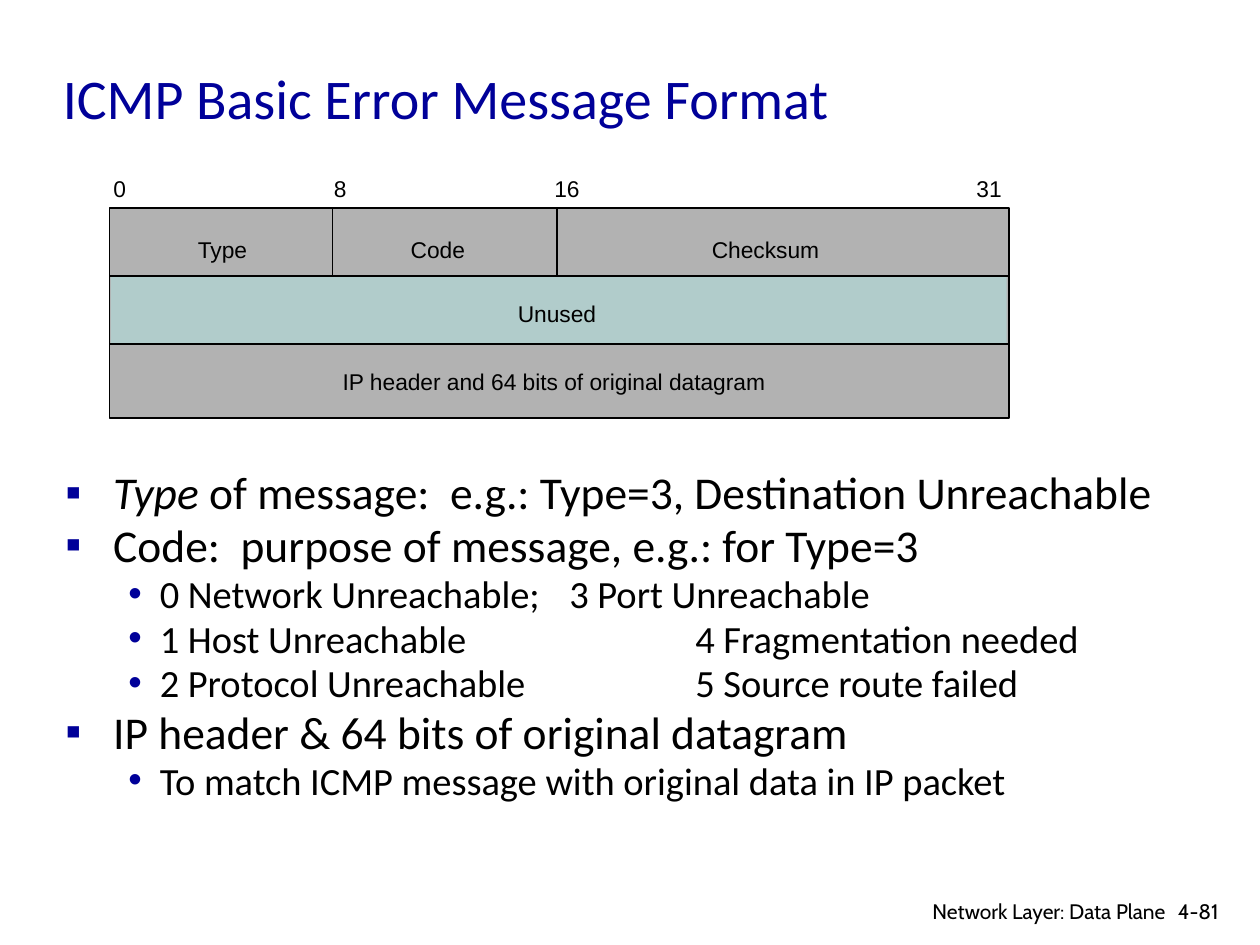
"""Build the slide on the ICMP basic error message format."""
import pptx
import pptx.dml.color
import pptx.enum.shapes
import pptx.enum.text
import pptx.oxml.ns
import pptx.util
from lxml import etree
from pptx.util import Inches

NAVY = "000099"
BLACK = "000000"
GRAY = "B2B2B2"
TEAL = "B1CCCB"
BULLETS = [
    (0, "Type", " of message:  e.g.: Type=3, Destination Unreachable"),
    (0, "", "Code:  purpose of message, e.g.: for Type=3"),
    (1, "", "0 Network Unreachable; \t3 Port Unreachable"),
    (1, "", "1 Host Unreachable\t\t4 Fragmentation needed"),
    (1, "", "2 Protocol Unreachable\t\t5 Source route failed"),
    (0, "", "IP header & 64 bits of original datagram"),
    (1, "", "To match ICMP message with original data in IP packet"),
]
LEVELS = [("▪", 0.38, 0.38, 26), ("•", 0.75, 0.25, 22)]


def color(hex_code):
    """Return the RGB color for a hex string."""
    return pptx.dml.color.RGBColor.from_string(hex_code)


def set_font(font, name, size, hex_code):
    """Set the typeface, point size and color of a font."""
    font.name = name
    font.size = pptx.util.Pt(size)
    font.color.rgb = color(hex_code)


def add_frame(slide, left, top, width, height):
    """Add an empty wrapping text box and return its text frame."""
    box = slide.shapes.add_textbox(Inches(left), Inches(top), Inches(width), Inches(height))
    box.text_frame.word_wrap = True
    return box.text_frame


def add_text(slide, place, text, name, size, hex_code, align=pptx.enum.text.PP_ALIGN.LEFT):
    """Add a one-paragraph text box and return its text frame."""
    frame = add_frame(slide, *place)
    paragraph = frame.paragraphs[0]
    paragraph.text = text
    paragraph.alignment = align
    set_font(paragraph.font, name, size, hex_code)
    return frame


def add_label(slide, left, top, text):
    """Add a diagram label without margins, wide enough for one line."""
    width = 0.1 + 0.12 * len(text)
    frame = add_text(slide, (left, top, width, 0.22), text, "Arial", 13, BLACK)
    frame.margin_left = frame.margin_right = frame.margin_top = frame.margin_bottom = 0


def add_block(slide, left, top, width, height, fill, outlined):
    """Add a filled rectangle, outlined in black on request."""
    block = slide.shapes.add_shape(
        pptx.enum.shapes.MSO_SHAPE.RECTANGLE,
        Inches(left), Inches(top), Inches(width), Inches(height))
    block.shadow.inherit = False
    block.fill.solid()
    block.fill.fore_color.rgb = color(fill)
    if outlined:
        block.line.color.rgb = color(BLACK)
        block.line.width = pptx.util.Pt(0.88)
    else:
        block.line.fill.background()


def add_rule(slide, x1, y1, x2, y2):
    """Add a thin black line without a shadow."""
    rule = slide.shapes.add_connector(
        pptx.enum.shapes.MSO_CONNECTOR.STRAIGHT,
        Inches(x1), Inches(y1), Inches(x2), Inches(y2))
    rule.line.color.rgb = color(BLACK)
    rule.line.width = pptx.util.Pt(0.88)
    etree.SubElement(rule._element.spPr, pptx.oxml.ns.qn("a:effectLst"))


def add_bullet(paragraph, char, margin, hanging):
    """Give a paragraph a navy bullet, a hanging indent and one-inch tabs."""
    qn = pptx.oxml.ns.qn
    properties = paragraph._p.get_or_add_pPr()
    properties.set("marL", str(Inches(margin)))
    properties.set("indent", str(-Inches(hanging)))
    properties.set("defTabSz", str(Inches(1)))
    bullet_color = etree.SubElement(properties, qn("a:buClr"))
    etree.SubElement(bullet_color, qn("a:srgbClr"), val=NAVY)
    etree.SubElement(properties, qn("a:buFont"), typeface="Arial")
    etree.SubElement(properties, qn("a:buChar"), char=char)
    tab_stops = etree.SubElement(properties, qn("a:tabLst"))
    for position in (4, 5):
        etree.SubElement(tab_stops, qn("a:tab"), pos=str(Inches(position)), algn="l")


def add_bullet_list(slide):
    """Add the explanation of the message fields."""
    frame = add_frame(slide, 0.42, 3.72, 9.24, 3.25)
    for index, (level, term, text) in enumerate(BULLETS):
        paragraph = frame.add_paragraph() if index else frame.paragraphs[0]
        char, margin, hanging, size = LEVELS[level]
        add_bullet(paragraph, char, margin, hanging)
        paragraph.level = level
        paragraph.line_spacing = 0.8
        paragraph.space_before = pptx.util.Pt(0.2 * size if index else 0)
        set_font(paragraph.font, "Calibri", size, BLACK)
        if term:
            term_run = paragraph.add_run()
            term_run.text = term
            term_run.font.italic = True
        paragraph.add_run().text = text


def add_message_format(slide):
    """Draw the message layout with its bit positions and fields."""
    add_block(slide, 0.87, 1.65, 7.14, 1.67, GRAY, True)
    add_block(slide, 0.88, 2.19, 7.11, 0.54, TEAL, False)
    for divider in (2.64, 4.42):
        add_rule(slide, divider, 1.66, divider, 2.19)
    for row_edge in (2.19, 2.73):
        add_rule(slide, 0.87, row_edge, 8, row_edge)
    for left, bit in ((0.9, "0"), (2.65, "8"), (4.4, "16"), (7.75, "31")):
        add_label(slide, left, 1.39, bit)
    for left, field in ((1.57, "Type"), (3.26, "Code"), (5.65, "Checksum")):
        add_label(slide, left, 1.87, field)
    add_label(slide, 4.11, 2.38, "Unused")
    add_label(slide, 2.72, 2.92, "IP header and 64 bits of original datagram")


def main():
    """Build and save the slide."""
    deck = pptx.Presentation()
    deck.slide_width, deck.slide_height = Inches(10), Inches(7.5)
    slide = deck.slides.add_slide(deck.slide_layouts[6])
    title = add_text(slide, (0.4, 0.26, 9.26, 1.02), "ICMP Basic Error Message Format",
                     "Calibri", 32, NAVY)
    title.vertical_anchor = pptx.enum.text.MSO_ANCHOR.MIDDLE
    add_message_format(slide)
    add_bullet_list(slide)
    add_text(slide, (6.97, 7.08, 2.38, 0.26), "Network Layer: Data Plane", "Cabin", 12, BLACK,
             pptx.enum.text.PP_ALIGN.RIGHT)
    add_text(slide, (9.25, 7.08, 0.61, 0.3), "4-81", "Cabin", 12, BLACK)
    deck.save("out.pptx")


if __name__ == "__main__":
    main()
